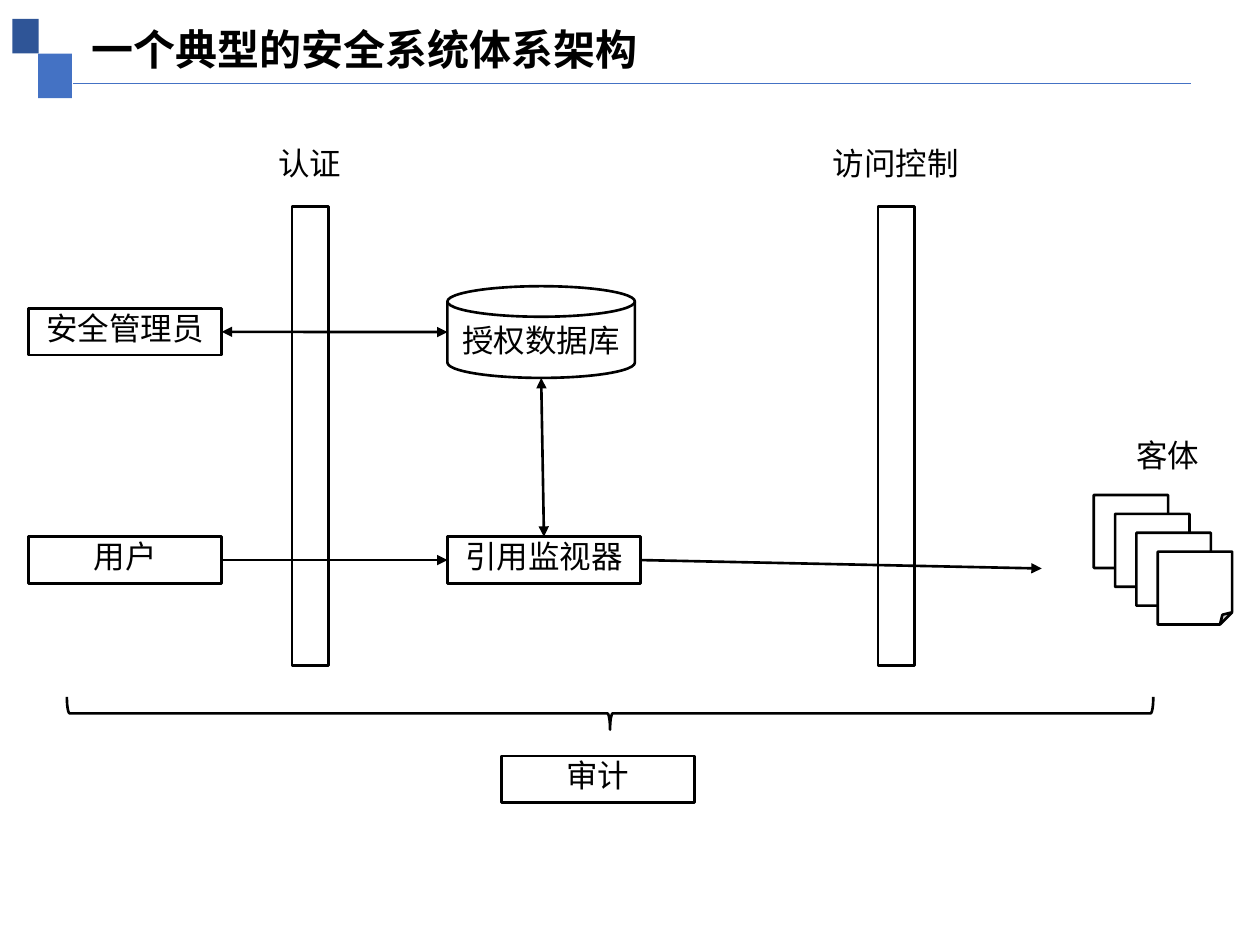
import pptx
import pptx.dml.color
import pptx.enum.shapes
import pptx.enum.text
import pptx.oxml.ns
import pptx.util
from lxml import etree

Cm, Pt = pptx.util.Cm, pptx.util.Pt
RGB = pptx.dml.color.RGBColor
MSO = pptx.enum.shapes.MSO_SHAPE
ALIGN = pptx.enum.text.PP_ALIGN
ANCHOR = pptx.enum.text.MSO_ANCHOR
qn = pptx.oxml.ns.qn

BLACK = RGB(0x00, 0x00, 0x00)
WHITE = RGB(0xFF, 0xFF, 0xFF)
BLUE = RGB(0x44, 0x72, 0xC4)
NAVY = RGB(0x2F, 0x55, 0x97)
CJK, LATIN = "Noto Sans CJK SC", "Calibri"

NODE_W, NODE_H = 3.89, 0.94
ROW_GAP = 4.6  # from the top row of nodes to the bottom row


def write(s, text, size=18, font=CJK, bold=False, align=ALIGN.CENTER,
          anchor=ANCHOR.TOP, wrap=True):
    """Put one formatted line of text into a shape."""
    tf = s.text_frame
    frame = {"word_wrap": wrap, "vertical_anchor": anchor,
             "margin_top": 0, "margin_bottom": 0}
    for name, value in frame.items():
        setattr(tf, name, value)
    p = tf.paragraphs[0]
    p.alignment = align
    r = p.add_run()
    r.text = text
    for name, value in {"name": font, "size": Pt(size), "bold": bold}.items():
        setattr(r.font, name, value)
    r.font.color.rgb = BLACK
    etree.SubElement(r.font._element, qn("a:ea")).set("typeface", CJK)


def shape(slide, kind, x, y, w, h, fill=None, line=BLACK):
    s = slide.shapes.add_shape(kind, Cm(x), Cm(y), Cm(w), Cm(h))
    s.shadow.inherit = False
    if fill is None:
        s.fill.background()
    else:
        s.fill.solid()
        s.fill.fore_color.rgb = fill
    if line is None:
        s.line.fill.background()
    else:
        s.line.color.rgb = line
        s.line.width = Pt(1.5)
    return s


def node(slide, text, x, y):
    s = shape(slide, MSO.RECTANGLE, x, y, NODE_W, NODE_H)
    write(s, text)
    return s


def label(slide, text, x, y, w, h, font):
    s = slide.shapes.add_textbox(Cm(x), Cm(y), Cm(w), Cm(h))
    write(s, text, font=font, align=ALIGN.LEFT, wrap=False)


def connect(slide, start, end, color=BLACK, width=1.5, ends=()):
    """Draw a line; ends names the ends that carry arrowheads."""
    s = slide.shapes.add_connector(
        pptx.enum.shapes.MSO_CONNECTOR.STRAIGHT, *start, *end)
    s.line.color.rgb = color
    s.line.width = Pt(width)
    ln = s.line._get_or_add_ln()
    for end_name in ends:
        etree.SubElement(ln, qn("a:" + end_name)).set("type", "triangle")
    etree.SubElement(s._element.spPr, qn("a:effectLst"))


def left(s):
    return s.left, s.top + s.height // 2


def right(s):
    return s.left + s.width, s.top + s.height // 2


def top(s):
    return s.left + s.width // 2, s.top


def bottom(s):
    return s.left + s.width // 2, s.top + s.height


def header(slide, x, y, w, text):
    """Two corner squares, title and rule."""
    shape(slide, MSO.RECTANGLE, x + 0.52, y + 0.7, 0.68, 0.9, BLUE, None)
    shape(slide, MSO.RECTANGLE, x, y, 0.53, 0.7, NAVY, None)
    s = slide.shapes.title
    box = {"left": x + 1.35, "top": y - 0.03, "width": w - 1.25, "height": 1.27}
    for name, value in box.items():
        setattr(s, name, Cm(value))
    write(s, text, 24, LATIN, True, ALIGN.LEFT, ANCHOR.MIDDLE)
    connect(slide, (Cm(x + 1.22), Cm(y + 1.3)), (Cm(x + w - 1.35), Cm(y + 1.3)),
            BLUE, 0.5)


def principals(slide, x, y):
    """Administrator above user."""
    return [node(slide, text, x, y + i * ROW_GAP)
            for i, text in enumerate(("安全管理员", "用户"))]


def core(slide, x, y):
    """Authorization database above reference monitor."""
    db = shape(slide, MSO.FLOWCHART_MAGNETIC_DISK, x, y - 0.45, 3.78, 1.85)
    write(db, "授权数据库", anchor=ANCHOR.MIDDLE)
    return db, node(slide, "引用监视器", x, y + ROW_GAP)


def gate(slide, x, y, text, text_w):
    """Tall bar with a label centred above it."""
    w = 0.74
    shape(slide, MSO.RECTANGLE, x, y + 1.27, w, 9.25)
    label(slide, text, x + (w - text_w) / 2, y, text_w, 0.79, LATIN)


def objects(slide, x, y):
    """Label above a cascade of four pages."""
    for i in range(4):
        shape(slide, MSO.FOLDED_CORNER, x + i * 0.43, y + 1.19 + i * 0.38,
              1.5, 1.47, WHITE)
    label(slide, "客体", x + 0.61, y, 1.8, NODE_H, CJK)


def audit(slide, x, y, w):
    """Brace across the whole system, opening upwards, and its node."""
    depth = 0.66
    s = shape(slide, MSO.LEFT_BRACE, x + (w - depth) / 2, y + (depth - w) / 2,
              depth, w)
    s.rotation = 270
    node(slide, "审计", x + 8.76, y + 1.19)


def flows(slide, admin, user, db, monitor):
    """Arrows between the parts."""
    both, forward = ("headEnd", "tailEnd"), ("tailEnd",)
    connect(slide, right(admin), left(db), ends=both)
    connect(slide, top(monitor), bottom(db), ends=both)
    connect(slide, right(user), left(monitor), ends=forward)
    connect(slide, right(monitor), (Cm(21), Cm(11.46)), ends=forward)


def main():
    prs = pptx.Presentation()
    prs.slide_width, prs.slide_height = Cm(25.4), Cm(19.05)
    slide = prs.slides.add_slide(prs.slide_layouts[5])  # title only
    header(slide, 0.25, 0.38, 25.1, "一个典型的安全系统体系架构")
    admin, user = principals(slide, 0.58, 6.22)
    db, monitor = core(slide, 9.02, 6.22)
    objects(slide, 22.05, 8.79)
    gate(slide, 17.7, 2.9, "访问控制", 3.07)
    gate(slide, 5.89, 2.9, "认证", 1.8)
    flows(slide, admin, user, db, monitor)
    audit(slide, 1.35, 14.05, 21.9)
    prs.save("out.pptx")


if __name__ == "__main__":
    main()
